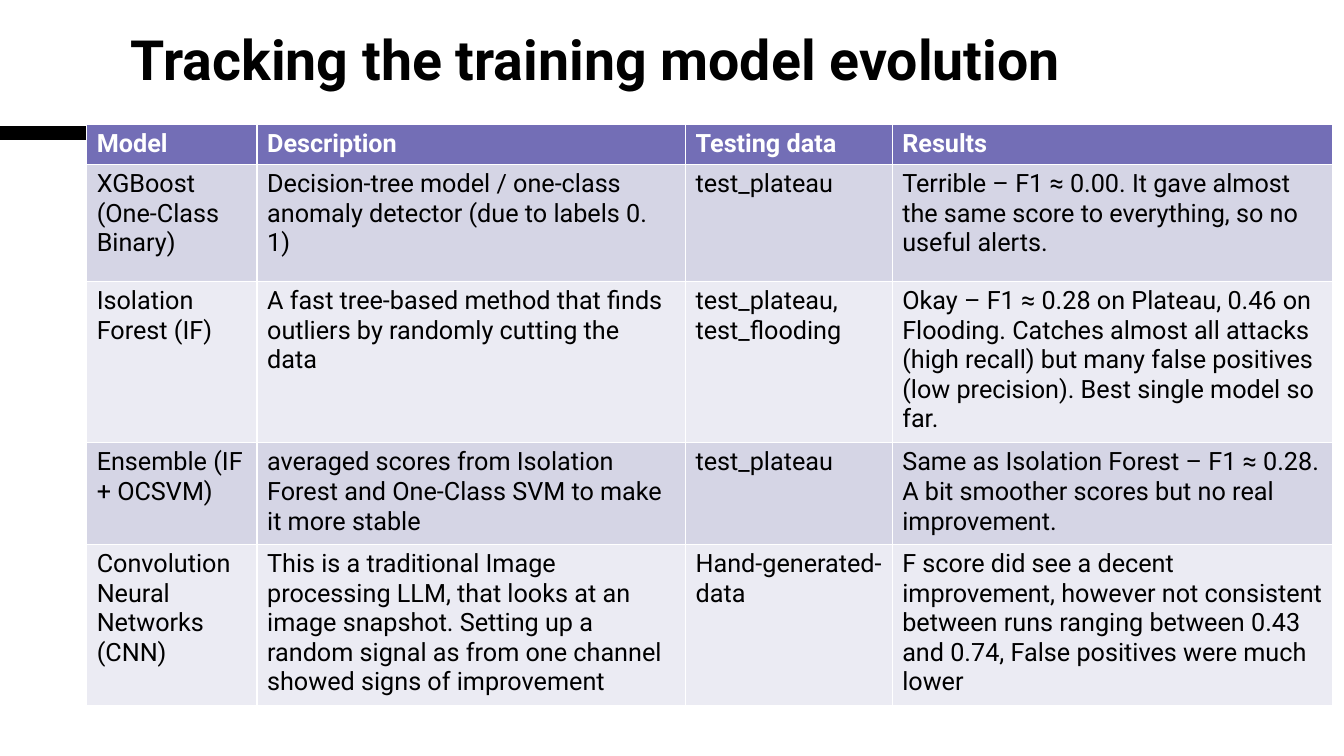
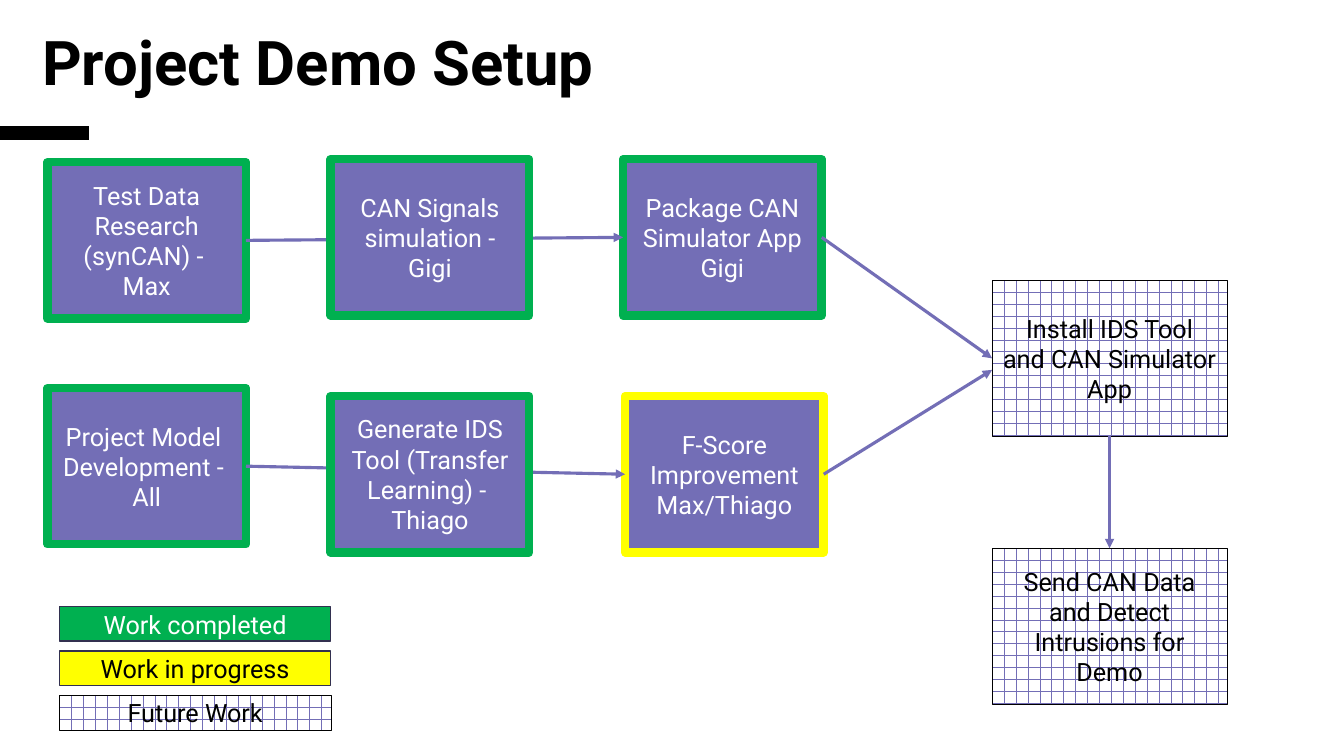
from dataclasses import dataclass

from lxml.etree import SubElement
from pptx import Presentation
from pptx.dml.color import RGBColor
from pptx.enum.dml import MSO_PATTERN
from pptx.enum.shapes import MSO_CONNECTOR, MSO_SHAPE
from pptx.enum.text import MSO_ANCHOR, PP_ALIGN
from pptx.oxml.ns import qn
from pptx.util import Inches, Pt


@dataclass(frozen=True)
class Theme:
    font: str = "Roboto"
    black: RGBColor = RGBColor(0, 0, 0)
    white: RGBColor = RGBColor(255, 255, 255)
    purple: RGBColor = RGBColor(0x73, 0x6E, 0xB6)
    lilac: RGBColor = RGBColor(0xD5, 0xD5, 0xE5)
    mist: RGBColor = RGBColor(0xEB, 0xEB, 0xF3)
    green: RGBColor = RGBColor(0, 0xB0, 0x50)
    yellow: RGBColor = RGBColor(255, 255, 0)
    navy: RGBColor = RGBColor(0x32, 0x30, 0x50)
    body: float = 18
    title: float = 44
    long_title: float = 39.6
    band: float = 9.5
    arrow: float = 2.25


T = Theme()


@dataclass(frozen=True)
class BoxStyle:
    fill: RGBColor
    line: RGBColor
    weight: float
    text: RGBColor
    brick: bool = False


DONE = BoxStyle(T.purple, T.green, 6, T.white)
ACTIVE = BoxStyle(T.purple, T.yellow, 6, T.white)
FUTURE = BoxStyle(T.purple, T.black, 0.25, T.black, True)
DONE_KEY = BoxStyle(T.green, T.navy, 1, T.white)
ACTIVE_KEY = BoxStyle(T.yellow, T.navy, 1, T.black)

BOX_W, BOX_H = 1.97, 1.55

MODELS = [
    ("Model", "Description", "Testing data", "Results"),
    ("XGBoost (One-Class Binary)",
     "Decision-tree model / one-class anomaly detector (due to labels 0. 1)",
     "test_plateau",
     "Terrible – F1 ≈ 0.00. It gave almost the same score to everything, "
     "so no useful alerts."),
    ("Isolation Forest (IF)",
     "A fast tree-based method that finds outliers by randomly cutting the data",
     "test_plateau, test_flooding",
     "Okay – F1 ≈ 0.28 on Plateau, 0.46 on Flooding. Catches almost all attacks "
     "(high recall) but many false positives (low precision). "
     "Best single model so far."),
    ("Ensemble (IF + OCSVM)",
     "averaged scores from Isolation Forest and One-Class SVM "
     "to make it more stable",
     "test_plateau",
     "Same as Isolation Forest – F1 ≈ 0.28. A bit smoother scores "
     "but no real improvement."),
    ("Convolution Neural Networks (CNN)",
     "This is a traditional Image processing LLM, that looks at an image snapshot. "
     "Setting up a random signal as from one channel showed signs of improvement",
     "Hand-generated-data",
     "F score did see a decent improvement, however not consistent between runs "
     "ranging between 0.43 and 0.74, False positives were much lower"),
]


def write(tf, text, color, size=T.body, bold=False, align=None, spacing=None):
    tf.text = text
    tf.word_wrap = True
    for p in tf.paragraphs:
        p.alignment = align
        p.line_spacing = spacing
        p.font.name = T.font
        p.font.size = Pt(size)
        p.font.bold = bold
        p.font.color.rgb = color


def add_line(s, start, end, color, weight, arrow=False):
    line = s.shapes.add_connector(
        MSO_CONNECTOR.STRAIGHT, *(Inches(v) for v in (*start, *end)))
    line.line.color.rgb = color
    line.line.width = Pt(weight)
    spPr = line._element.spPr
    if arrow:
        SubElement(spPr.find(qn("a:ln")), qn("a:tailEnd"), type="triangle")
    SubElement(spPr, qn("a:effectLst"))
    return line


def add_arrow(s, source, source_side, target, target_side):
    arrow = add_line(s, (0, 0), (1, 1), T.purple, T.arrow, True)
    arrow.begin_connect(source, source_side)
    arrow.end_connect(target, target_side)


def add_titled_slide(prs, title, left, width, size):
    s = prs.slides.add_slide(prs.slide_layouts[6])
    add_line(s, (0, 1.32), (0.88, 1.32), T.black, T.band)
    tb = s.shapes.add_textbox(
        Inches(left), Inches(0.3), Inches(width), Inches(0.8))
    write(tb.text_frame, title, T.black, size, bold=True, spacing=0.85)
    return s


def add_box(s, text, left, top, style, width=BOX_W, height=BOX_H):
    sp = s.shapes.add_shape(
        MSO_SHAPE.RECTANGLE, Inches(left), Inches(top),
        Inches(width), Inches(height))
    sp.shadow.inherit = False
    if style.brick:
        sp.fill.patterned()
        sp.fill.pattern = MSO_PATTERN.HORIZONTAL_BRICK
        sp.fill.fore_color.rgb = style.fill
        sp.fill.back_color.rgb = T.white
    else:
        sp.fill.solid()
        sp.fill.fore_color.rgb = style.fill
    sp.line.color.rgb = style.line
    sp.line.width = Pt(style.weight)
    sp.text_frame.vertical_anchor = MSO_ANCHOR.MIDDLE
    write(sp.text_frame, text, style.text, align=PP_ALIGN.CENTER)
    return sp


def add_model_table(s, rows, left, top, widths, heights):
    table = s.shapes.add_table(
        len(rows), len(widths), Inches(left), Inches(top),
        Inches(sum(widths)), Inches(sum(heights))).table
    for column, width in zip(table.columns, widths):
        column.width = Inches(width)
    for i, (row, height) in enumerate(zip(rows, heights)):
        table.rows[i].height = Inches(height)
        header = i == 0
        fill = T.purple if header else (T.mist, T.lilac)[i % 2]
        for j, text in enumerate(row):
            cell = table.cell(i, j)
            cell.fill.solid()
            cell.fill.fore_color.rgb = fill
            write(cell.text_frame, text, T.white if header else T.black,
                  bold=header)


def add_flow_row(s, first, last, middle):
    start, end = add_box(s, *first), add_box(s, *last)
    add_arrow(s, start, 3, end, 1)
    add_box(s, *middle)
    return end


def build_evolution(prs):
    s = add_titled_slide(
        prs, "Tracking the training model evolution", 1.2, 10.91, T.long_title)
    add_model_table(s, MODELS, 0.86, 1.23, (1.69, 4.25, 2.05, 4.37),
                    (0.38, 1.16, 1.59, 1.01, 1.57))


def build_demo_setup(prs):
    s = add_titled_slide(prs, "Project Demo Setup", 0.32, 10.85, T.title)
    simulator = add_flow_row(
        s,
        ("Test Data Research (synCAN) - \nMax", 0.47, 1.61, DONE),
        ("Package CAN Simulator App\nGigi", 6.18, 1.58, DONE),
        ("CAN Signals simulation - Gigi", 3.28, 1.58, DONE))
    scoring = add_flow_row(
        s,
        ("Project Model \nDevelopment - \nAll", 0.47, 3.85, DONE),
        ("F-Score Improvement\nMax/Thiago", 6.2, 3.93, ACTIVE),
        ("Generate IDS Tool (Transfer Learning) - \nThiago", 3.28, 3.93, DONE))
    install = add_box(s, "Install IDS Tool and CAN Simulator App",
                      9.84, 2.78, FUTURE, 2.33)
    send = add_box(s, "Send CAN Data and Detect Intrusions for Demo",
                   9.84, 5.44, FUTURE, 2.33)
    add_arrow(s, simulator, 3, install, 1)
    add_arrow(s, install, 2, send, 0)
    scoring_arrow = add_line(
        s, (8.17, 4.7), (9.84, 3.67), T.purple, T.arrow, True)
    scoring_arrow.begin_connect(scoring, 3)

    legend = (("Work completed", DONE_KEY), ("Work in progress", ACTIVE_KEY),
              ("Future Work", FUTURE))
    for i, (label, style) in enumerate(legend):
        add_box(s, label, 0.59, 6.02 + 0.44 * i, style, 2.69, 0.34)


def main():
    prs = Presentation()
    prs.slide_width = Inches(13.33)
    prs.slide_height = Inches(7.5)
    build_evolution(prs)
    build_demo_setup(prs)
    prs.save("out.pptx")


if __name__ == "__main__":
    main()
